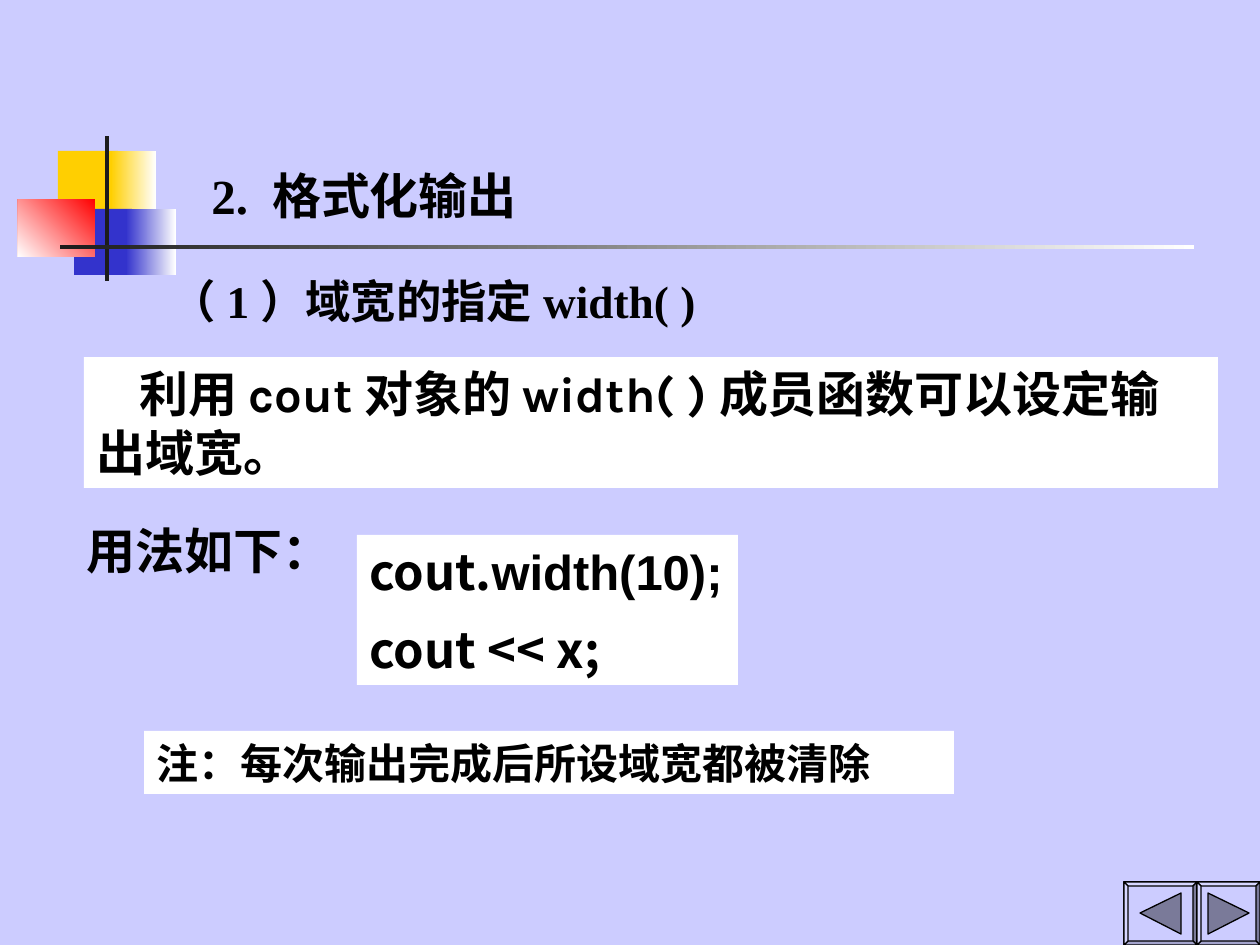
import pptx
import pptx.dml.color
import pptx.enum.shapes
import pptx.enum.text
import pptx.oxml.ns
import pptx.util
from lxml import etree

SCALE = 914400 / 126
COLORS = {
    "background": "CCCCFF", "white": "FFFFFF", "black": "000000", "ink": "1C1C1C",
    "yellow": "FFCF01", "blue": "3333CC", "red": "FF0000",
    "light": "D6D6FF", "shade": "A3A3CC", "dark": "7A7A99",
}
CJK, TIMES, KARLA, ARIAL = "Noto Sans CJK SC", "Times New Roman", "Karla", "Arial"

ORNAMENTS = [
    ((58, 151, 60, 66), ["yellow"], 0),
    ((111, 151, 45, 66), ["white", "yellow"], 180),
    ((74, 209, 58, 66), ["blue"], 0),
    ((126, 209, 50, 66), ["white", "blue"], 180),
    ((18, 199, 77, 58), ["red", "white"], 135),
    ((105, 136, 4, 145), ["ink"], 0),
    ((60, 245, 1134, 4), ["white", "ink"], 180),
]

TEXTS = [
    {"at": (199, 158, 336, 73), "size": 28, "anchor": "BOTTOM",
     "lines": [[("2. ", TIMES), ("格式化输出", CJK)]]},
    {"at": (158, 273, 567, 73), "size": 25.9, "spacing": [0.9],
     "lines": [[("（", CJK), ("1", TIMES), ("）域宽的指定", CJK), ("width( )", TIMES)]]},
    {"at": (144, 731, 810, 63), "size": 24, "fill": "white",
     "lines": [[("注：每次输出完成后所设域宽都被清除", CJK)]]},
    {"at": (84, 357, 1134, 131), "size": 28, "fill": "white", "indent": 43,
     "lines": [[("利用", CJK), ("cout", KARLA), ("对象的", CJK), ("width( )", KARLA),
                ("成员函数可以设定输出域宽。", CJK)]]},
    {"at": (357, 535, 381, 150), "size": 28, "fill": "white", "spacing": [1, 0.8],
     "lines": [[("cout.", CJK), ("width(10);", ARIAL)], [("cout << x;", CJK)]]},
    {"at": (74, 514, 282, 72), "size": 28,
     "lines": [[("用法如下：", CJK)]]},
]

BUTTONS = [
    ((1124, 882, 1197, 945), [(1140, 913), (1181, 893), (1181, 934)]),
    ((1197, 882, 1260, 945), [(1208, 893), (1249, 913), (1208, 934)]),
]
BEVEL = 4


def px(value):
    return pptx.util.Emu(round(value * SCALE))


def rgb(name):
    return pptx.dml.color.RGBColor.from_string(COLORS[name])


def paint(shape, names, angle=0):
    if len(names) == 1:
        shape.fill.solid()
        shape.fill.fore_color.rgb = rgb(names[0])
        return
    shape.fill.gradient()
    shape.fill.gradient_angle = 360 - angle
    for stop, name in zip(shape.fill.gradient_stops, names):
        stop.color.rgb = rgb(name)


def add_rectangle(page, at, names, angle=0):
    rectangle = page.shapes.add_shape(
        pptx.enum.shapes.MSO_SHAPE.RECTANGLE, *map(px, at))
    rectangle.shadow.inherit = False
    rectangle.line.fill.background()
    paint(rectangle, names, angle)
    return rectangle


def add_text(page, item):
    if "fill" in item:
        box = add_rectangle(page, item["at"], [item["fill"]])
    else:
        box = page.shapes.add_textbox(*map(px, item["at"]))
    frame = box.text_frame
    frame.word_wrap = True
    frame.vertical_anchor = pptx.enum.text.MSO_ANCHOR[item.get("anchor", "TOP")]
    for index, line in enumerate(item["lines"]):
        para = frame.add_paragraph() if index else frame.paragraphs[0]
        para.alignment = pptx.enum.text.PP_ALIGN.LEFT
        para.line_spacing = item.get("spacing", [1])[index]
        if index:
            para.space_before = pptx.util.Pt(17.5)
        if "indent" in item:
            para._p.get_or_add_pPr().set("indent", str(px(item["indent"])))
        for words, font in line:
            span = para.add_run()
            span.text = words
            span.font.size = pptx.util.Pt(item["size"])
            span.font.bold = True
            span.font.color.rgb = rgb("black")
            span.font.name = font
            east = etree.SubElement(span._r.get_or_add_rPr(), pptx.oxml.ns.qn("a:ea"))
            east.set("typeface", CJK)


def add_polygon(page, points, color):
    builder = page.shapes.build_freeform(*points[0], scale=SCALE)
    builder.add_line_segments(points[1:], close=True)
    polygon = builder.convert_to_shape()
    polygon.shadow.inherit = False
    paint(polygon, [color])
    polygon.line.color.rgb = rgb("black")
    polygon.line.width = pptx.util.Pt(0.75)


def corners(left, top, right, bottom):
    return [(left, top), (right, top), (right, bottom), (left, bottom)]


def add_button(page, edges, arrow):
    left, top, right, bottom = edges
    outer = corners(*edges)
    inner = corners(left + BEVEL, top + BEVEL, right - BEVEL, bottom - BEVEL)
    add_polygon(page, outer, "background")
    for side, color in enumerate(["light", "dark", "shade", "light"]):
        following = (side + 1) % 4
        face = [outer[side], outer[following], inner[following], inner[side]]
        add_polygon(page, face, color)
    add_polygon(page, arrow, "dark")


def main():
    deck = pptx.Presentation()
    deck.slide_width, deck.slide_height = px(1260), px(945)
    page = deck.slides.add_slide(deck.slide_layouts[6])
    paint(page.background, ["background"])
    for at, names, angle in ORNAMENTS:
        add_rectangle(page, at, names, angle)
    for item in TEXTS:
        add_text(page, item)
    for edges, arrow in BUTTONS:
        add_button(page, edges, arrow)
    deck.save("out.pptx")


if __name__ == "__main__":
    main()
